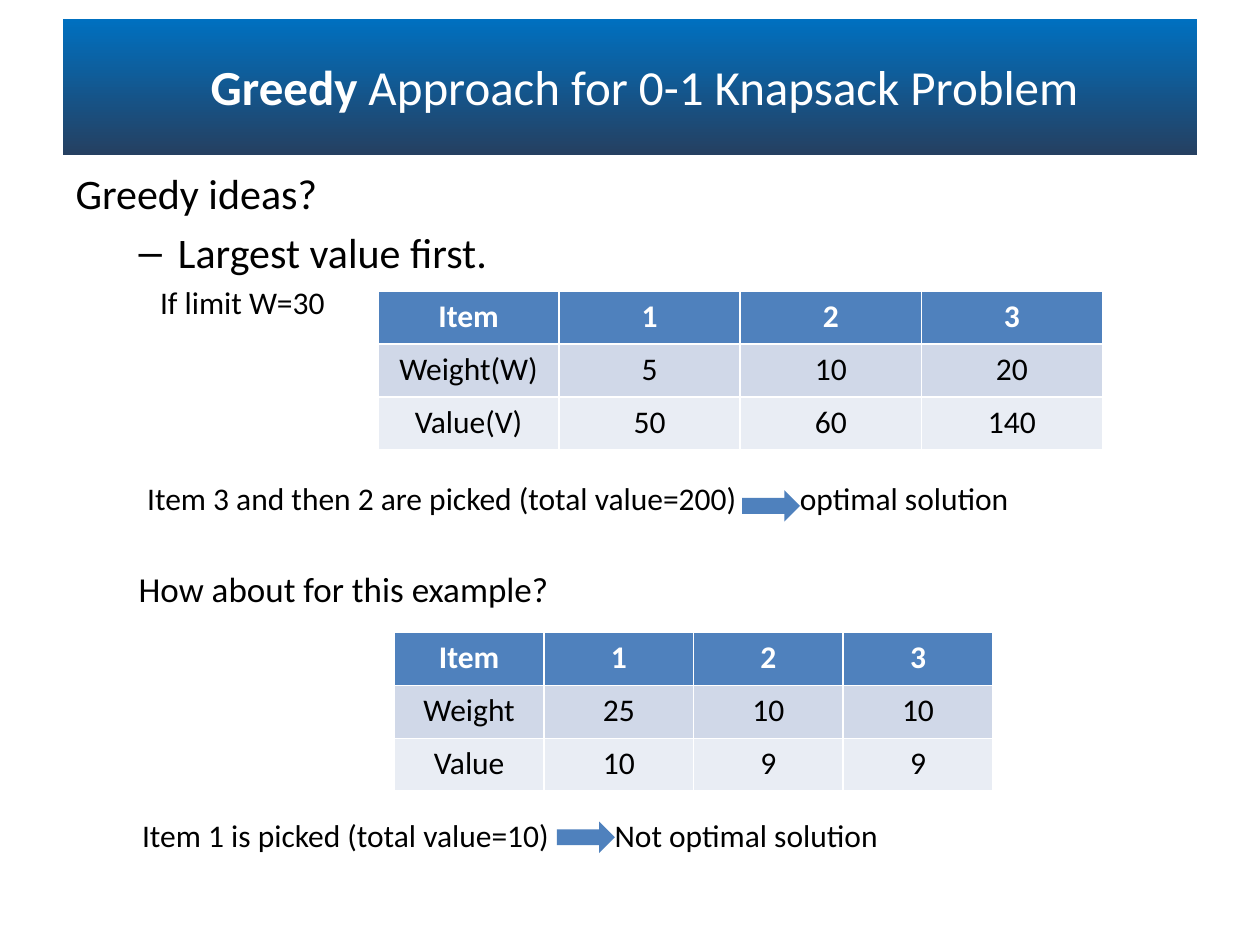
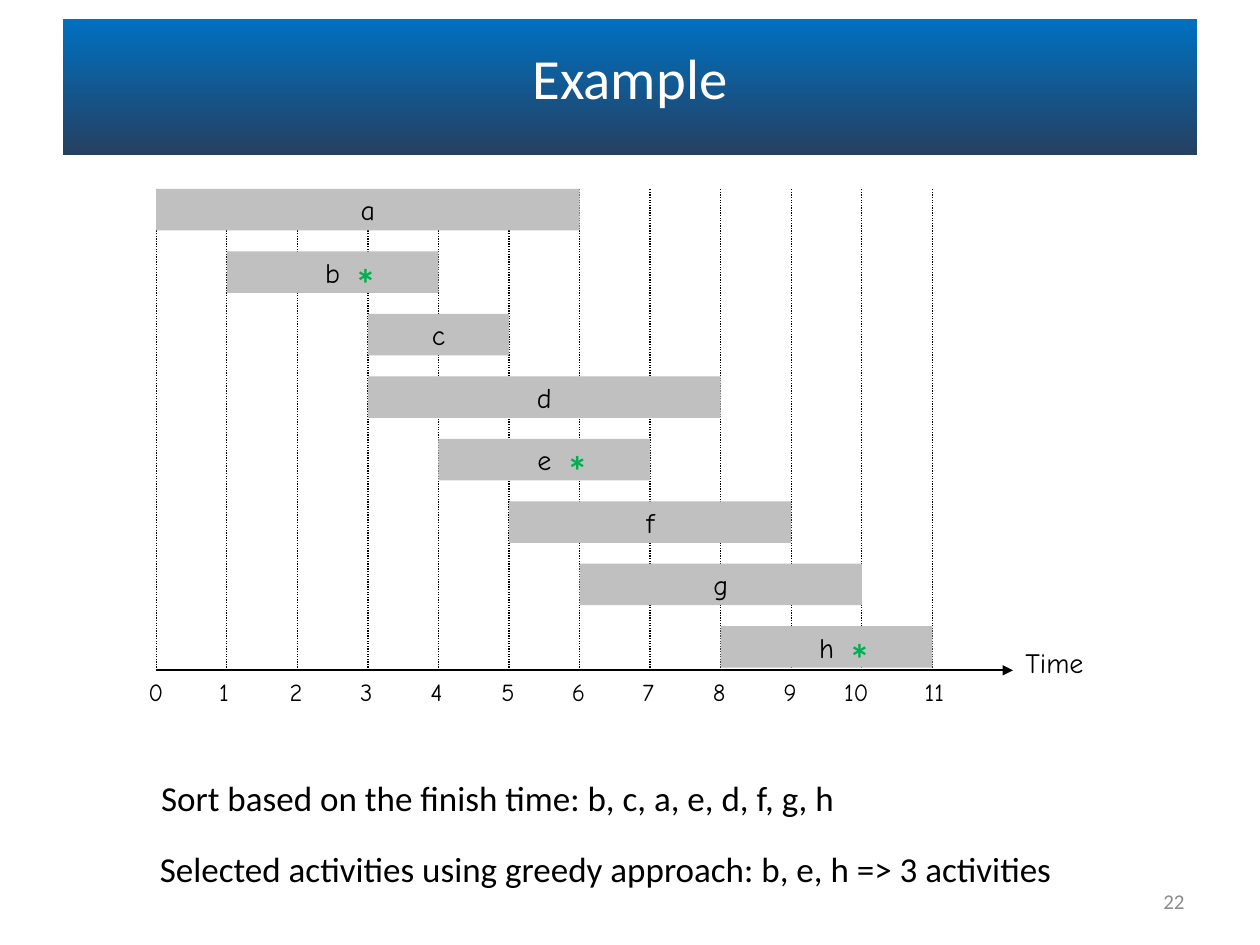
import pptx
import pptx.util
import pptx.dml.color
import pptx.enum.dml
import pptx.enum.shapes
import pptx.enum.text
from dataclasses import dataclass
from lxml import etree

Inches, Pt = pptx.util.Inches, pptx.util.Pt
RGB = pptx.dml.color.RGBColor.from_string
SHAPE = pptx.enum.shapes.MSO_SHAPE
ALIGN = pptx.enum.text.PP_ALIGN
MIDDLE = pptx.enum.text.MSO_ANCHOR.MIDDLE
NO_FIT = pptx.enum.text.MSO_AUTO_SIZE.NONE
NAMESPACE = "{http://schemas.openxmlformats.org/drawingml/2006/main}"


@dataclass(frozen=True)
class Theme:
    font: str = "Calibri"
    diagram_font: str = "Comic Neue"
    white: str = "FFFFFF"
    black: str = "000000"
    band_top: str = "0070C0"
    band_bottom: str = "254061"
    accent: str = "4F81BD"
    row_fills: tuple = ("4F81BD", "D0D8E8", "E9EDF4")
    bar: str = "C0C0C0"
    selected: str = "00B050"
    muted: str = "8C8C8C"
    title: float = 28
    large_title: float = 32.4
    heading: float = 24
    statement: float = 20
    text: float = 18
    bar_label: float = 16
    tick: float = 14
    footer: float = 12


theme = Theme()


def format_runs(paragraph, size, color=theme.black, font=theme.font, bold=False, align=None):
    if align is not None:
        paragraph.alignment = align
    for run in paragraph.runs:
        run.font.size = Pt(size)
        run.font.name = font
        run.font.bold = bold
        run.font.color.rgb = RGB(color)


def add_text(slide, text, left, top, width, height, size, wrap=True, **style):
    box = slide.shapes.add_textbox(Inches(left), Inches(top), Inches(width), Inches(height))
    box.text_frame.word_wrap = wrap
    box.text_frame.text = text
    format_runs(box.text_frame.paragraphs[0], size, **style)
    return box


presentation = pptx.Presentation()
presentation.slide_width = Inches(10)
presentation.slide_height = Inches(7.5)
knapsack = presentation.slides.add_slide(presentation.slide_layouts[1])
schedule = presentation.slides.add_slide(presentation.slide_layouts[5])

# Title band, moved to the master so that every slide shows it
band = knapsack.shapes.add_shape(SHAPE.RECTANGLE, Inches(0.5), Inches(0.15), Inches(9), Inches(1.08))
band.shadow.inherit = False
band.line.fill.background()
band.fill.gradient()
band.fill.gradient_angle = 270
for stop, color in zip(band.fill.gradient_stops, (theme.band_top, theme.band_bottom)):
    stop.color.rgb = RGB(color)
presentation.slide_master.shapes.element.insert(2, band.element)

# Titles
titles = [
    (knapsack, ["Greedy", " Approach for 0-1 Knapsack Problem"], theme.title, (0.2, 0.37, 9.83, 0.63)),
    (schedule, ["Example"], theme.large_title, (0.5, 0.3, 9, 0.62)),
]
for slide, parts, size, place in titles:
    title = slide.shapes.title
    title.left, title.top, title.width, title.height = map(Inches, place)
    title.text_frame.auto_size = NO_FIT
    title.text_frame.vertical_anchor = MIDDLE
    paragraph = title.text_frame.paragraphs[0]
    for part in parts:
        paragraph.add_run().text = part
    format_runs(paragraph, size, theme.white, align=ALIGN.CENTER)
knapsack.shapes.title.text_frame.paragraphs[0].runs[0].font.bold = True

# Knapsack: outline (text, level, indent of an unbulleted line, space before, size)
outline = [
    ("Greedy ideas?", 0, 0, 0, theme.heading),
    ("Largest value first.", 1, None, 4.8, theme.heading),
    ("If limit W=30", 1, 0.67, 3.6, theme.text),
    ("How about for this example?", 1, 0.5, 141, theme.statement),
]
body = knapsack.placeholders[1]
body.left, body.top, body.width, body.height = map(Inches, (0.5, 1.28, 9, 6.18))
frame = body.text_frame
frame.auto_size = NO_FIT
for index, (text, level, indent, space, size) in enumerate(outline):
    paragraph = frame.add_paragraph() if index else frame.paragraphs[0]
    paragraph.text = text
    paragraph.level = level
    paragraph.space_before = Pt(space)
    if indent is not None:
        properties = paragraph._p.get_or_add_pPr()
        properties.set("marL", str(Inches(indent)))
        properties.set("indent", "0")
        etree.SubElement(properties, NAMESPACE + "buNone")
    format_runs(paragraph, size)

# Knapsack: each example is a table and a conclusion with an arrow
ROW_HEIGHT = 0.42
ARROW_WIDTH, ARROW_HEIGHT = 0.46, 0.25
INSET = 0.1
examples = [
    {
        "rows": [("Item", "1", "2", "3"), ("Weight(W)", "5", "10", "20"), ("Value(V)", "50", "60", "140")],
        "table": (3, 2.31, 5.75),
        "conclusion": "Item 3 and then 2 are picked (total value=200)\toptimal solution",
        "text": (1.07, 3.75),
        "arrow": (5.89, 3.89),
    },
    {
        "rows": [("Item", "1", "2", "3"), ("Weight", "25", "10", "10"), ("Value", "10", "9", "9")],
        "table": (3.13, 5.02, 4.75),
        "conclusion": "Item 1 is picked (total value=10)\tNot optimal solution",
        "text": (1.03, 6.43),
        "arrow": (4.42, 6.52),
    },
]
for example in examples:
    rows = example["rows"]
    left, top, width = example["table"]
    table = knapsack.shapes.add_table(
        len(rows), len(rows[0]), Inches(left), Inches(top), Inches(width), Inches(ROW_HEIGHT * len(rows))
    ).table
    for row_index, (row, fill) in enumerate(zip(rows, theme.row_fills)):
        header = row_index == 0
        for column_index, value in enumerate(row):
            cell = table.cell(row_index, column_index)
            cell.fill.solid()
            cell.fill.fore_color.rgb = RGB(fill)
            cell.text_frame.text = value
            format_runs(
                cell.text_frame.paragraphs[0],
                theme.text,
                theme.white if header else theme.black,
                bold=header,
                align=ALIGN.CENTER,
            )

    text_left, text_top = example["text"]
    arrow_left, arrow_top = example["arrow"]
    conclusion = add_text(knapsack, example["conclusion"], text_left, text_top, 7.3, 0.4, theme.text)
    properties = conclusion.text_frame.paragraphs[0]._p.get_or_add_pPr()
    tabs = etree.SubElement(properties, NAMESPACE + "tabLst")
    tab_position = Inches(arrow_left + ARROW_WIDTH - text_left - INSET)
    etree.SubElement(tabs, NAMESPACE + "tab", pos=str(tab_position), algn="l")

    arrow = knapsack.shapes.add_shape(
        SHAPE.RIGHT_ARROW, Inches(arrow_left), Inches(arrow_top), Inches(ARROW_WIDTH), Inches(ARROW_HEIGHT)
    )
    arrow.shadow.inherit = False
    arrow.fill.solid()
    arrow.fill.fore_color.rgb = RGB(theme.accent)
    arrow.line.fill.background()

# Schedule: time grid and axis
ORIGIN, HOUR, LAST_HOUR = 1.24, 0.56, 11
GRID_TOP, AXIS_Y, AXIS_END = 1.5, 5.32, 8.04
BAR_HEIGHT = 0.33
ticks = [ORIGIN + HOUR * hour for hour in range(LAST_HOUR + 1)]
lines = [(x, AXIS_Y, x, GRID_TOP) for x in ticks] + [(ORIGIN, AXIS_Y, AXIS_END, AXIS_Y)]
for ends in lines:
    line = schedule.shapes.add_connector(pptx.enum.shapes.MSO_CONNECTOR.STRAIGHT, *map(Inches, ends))
    line.line.color.rgb = RGB(theme.black)
    if ends[0] == ends[2]:
        line.line.width = Pt(0.75)
        line.line.dash_style = pptx.enum.dml.MSO_LINE.ROUND_DOT
    else:
        line.line.width = Pt(1.25)
        etree.SubElement(line.line._get_or_add_ln(), NAMESPACE + "tailEnd", type="triangle")
    etree.SubElement(line.element.spPr, NAMESPACE + "effectLst")

for hour, x in enumerate(ticks):
    shift = 0.24 if hour == 10 else 0.16
    add_text(schedule, str(hour), x - shift, AXIS_Y, 0.48, 0.41, theme.tick, font=theme.diagram_font)
add_text(schedule, "Time", AXIS_END, 5.07, 0.88, 0.45, theme.bar_label, font=theme.diagram_font)

# Schedule: activities by start and finish hour
activities = {
    "a": (0, 6), "b": (1, 4), "c": (3, 5), "d": (3, 8),
    "e": (4, 7), "f": (5, 9), "g": (6, 10), "h": (8, 11),
}
row_step = (AXIS_Y - 0.35 - GRID_TOP) / (len(activities) - 1)
for row, (name, (start, finish)) in enumerate(activities.items()):
    top = GRID_TOP + row * row_step
    bar = schedule.shapes.add_shape(
        SHAPE.RECTANGLE, Inches(ticks[start]), Inches(top), Inches(HOUR * (finish - start)), Inches(BAR_HEIGHT)
    )
    bar.shadow.inherit = False
    bar.fill.solid()
    bar.fill.fore_color.rgb = RGB(theme.bar)
    bar.line.fill.background()
    bar.text_frame.word_wrap = False
    bar.text_frame.vertical_anchor = MIDDLE
    bar.text_frame.text = name
    format_runs(
        bar.text_frame.paragraphs[0], theme.bar_label, font=theme.diagram_font, align=ALIGN.CENTER
    )
    if name in "beh":
        star_left = (ticks[start] + ticks[finish]) / 2 + 0.08
        add_text(
            schedule, "*", star_left, top, 0.37, 0.5, theme.heading, wrap=False, color=theme.selected, bold=True
        )

# Schedule: result and slide number
add_text(
    schedule, "Sort based on the finish time: b, c, a, e, d, f, g, h",
    1.18, 6.11, 5.6, 0.44, theme.statement, wrap=False,
)
add_text(
    schedule, "Selected activities using greedy approach: b, e, h => 3 activities",
    1.17, 6.68, 7.36, 0.44, theme.statement, wrap=False,
)
number = add_text(
    schedule, "22", 7.17, 6.95, 2.33, 0.4, theme.footer, color=theme.muted, align=ALIGN.RIGHT
)
number.text_frame.vertical_anchor = MIDDLE

presentation.save("out.pptx")
